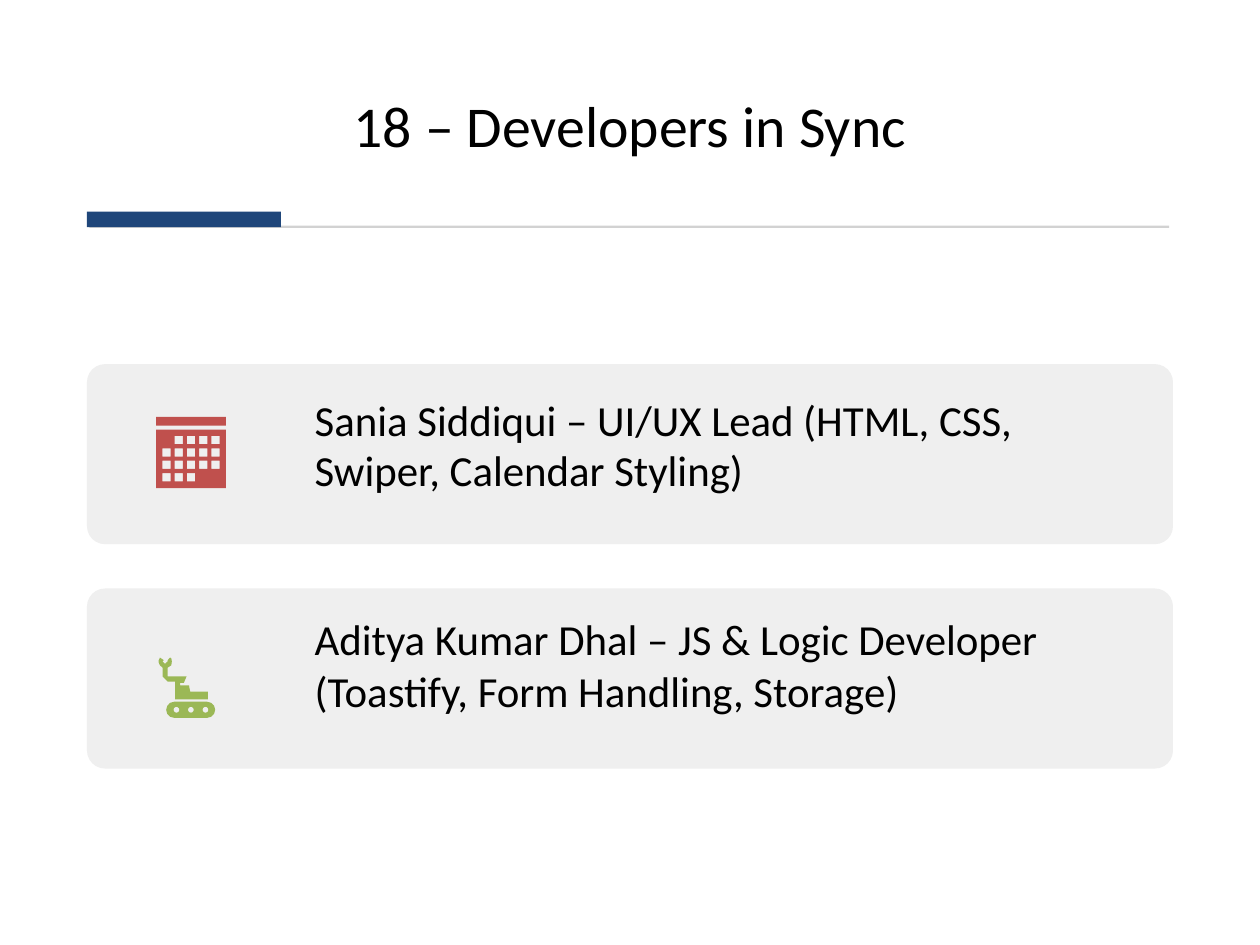
from dataclasses import dataclass

from pptx import Presentation
from pptx.dml.color import RGBColor
from pptx.enum.shapes import MSO_SHAPE
from pptx.enum.text import MSO_ANCHOR, MSO_AUTO_SIZE, PP_ALIGN
from pptx.oxml.ns import qn
from pptx.util import Pt

NAVY, RULE, CARD = "1F467A", "D2D2D2", "EFEFEF"
RED, GREEN, BLACK = "C0504D", "9BB856", "000000"
LEFT, CARD_TOP, CARD_W, CARD_H, CARD_PITCH = 49.7, 208.1, 620.6, 102.9, 128.2

ROBOT_ARM = [
    (91.4, 375.8), (90.7, 377.3), (90.7, 378.7), (91.4, 380.2), (92.9, 381.6),
    (92.9, 386.6), (95.8, 389.5), (100.1, 389.5), (100.1, 399.6), (118.8, 399.6),
    (118.8, 395.3), (108.7, 395.3), (108, 391.7), (103, 391.7), (103, 390.2),
    (105.1, 390.2), (106.6, 386.6), (95.8, 386.6), (95.8, 381.6), (97.9, 380.2),
    (98.2, 378), (97.9, 376.2), (97.2, 375.8), (95.8, 377.3), (95.8, 378),
    (94.3, 379.4), (92.9, 378), (93.6, 377.3),
]


@dataclass
class Developer:
    text: str
    leading: float
    space_before: float


DEVELOPERS = [
    Developer("Sania Siddiqui – UI/UX Lead (HTML, CSS, Swiper, Calendar Styling)", 28.6, 0),
    Developer("Aditya Kumar Dhal – JS & Logic Developer (Toastify, Form Handling, Storage)",
              29.4, 67.2),
]


def rgb(color: str) -> RGBColor:
    return RGBColor.from_string(color)


def paint(sp, color: str):
    sp.shadow.inherit = False
    sp.fill.solid()
    sp.fill.fore_color.rgb = rgb(color)
    sp.line.fill.background()
    return sp


def add_block(s, x: float, y: float, w: float, h: float, color: str,
              kind=MSO_SHAPE.RECTANGLE, radius: float = 0):
    sp = s.shapes.add_shape(kind, Pt(x), Pt(y), Pt(w), Pt(h))
    if radius:
        sp.adjustments[0] = radius
    return paint(sp, color)


def add_outline(s, contours: list, color: str):
    """Draw closed contours as one shape; inner contours become holes."""
    (x, y), *rest = contours[0]
    fb = s.shapes.build_freeform(Pt(x), Pt(y))
    fb.add_line_segments([(Pt(a), Pt(b)) for a, b in rest])
    for (x, y), *rest in contours[1:]:
        fb.move_to(Pt(x), Pt(y))
        fb.add_line_segments([(Pt(a), Pt(b)) for a, b in rest])
    return paint(fb.convert_to_shape(), color)


def box(x: float, y: float, w: float, h: float) -> list:
    return [(x, y), (x + w, y), (x + w, y + h), (x, y + h)]


def place(sp, x: float, y: float, w: float, h: float, inset_top: float):
    sp.left, sp.top, sp.width, sp.height = Pt(x), Pt(y), Pt(w), Pt(h)
    tf = sp.text_frame
    tf.word_wrap = True
    tf.auto_size = MSO_AUTO_SIZE.NONE
    tf.vertical_anchor = MSO_ANCHOR.TOP
    tf.margin_left = tf.margin_right = tf.margin_bottom = 0
    tf.margin_top = Pt(inset_top)
    return tf


def write(p, text: str, *, size: float, align=PP_ALIGN.LEFT, leading: float = 0,
          space_before: float = 0):
    pPr = p._p.get_or_add_pPr()
    pPr.set("marL", "0")
    pPr.set("indent", "0")
    pPr.append(pPr.makeelement(qn("a:buNone"), {}))
    p.alignment = align
    p.space_before = Pt(space_before)
    if leading:
        p.line_spacing = Pt(leading)
    r = p.add_run()
    r.text = text
    r.font.name, r.font.size = "Calibri", Pt(size)
    r.font.color.rgb = rgb(BLACK)


def draw_calendar(s):
    x, y, w = 89.3, 238.3, 39.8
    add_block(s, x, y, w, 5, RED)
    day_columns = [range(1, 5), range(5), range(5), range(3)]
    days = [box(x + 3.6 + 7 * col, y + 10.8 + 7.1 * row, 4.7, 4.7)
            for row, cols in enumerate(day_columns) for col in cols]
    add_outline(s, [box(x, y + 7.2, w, 33.4)] + days, RED)


def draw_robot(s):
    add_block(s, 95, 401, 28, 9.2, GREEN, MSO_SHAPE.ROUNDED_RECTANGLE, 0.5)
    for i in range(3):
        add_block(s, 99.2 + 8.3 * i, 404, 3.2, 3.2, CARD, MSO_SHAPE.OVAL)
    add_outline(s, [ROBOT_ARM], GREEN)


def main():
    prs = Presentation()
    prs.slide_width, prs.slide_height = Pt(720), Pt(540)
    s = prs.slides.add_slide(prs.slide_layouts[1])

    tf = place(s.shapes.title, 34, 38.2, 652, 70, 13.3)
    write(tf.paragraphs[0], "18 – Developers in Sync", size=33, align=PP_ALIGN.CENTER)

    add_block(s, 51.1, 128.9, 617, 1.4, RULE)
    add_block(s, LEFT, 121, 110.9, 8.8, NAVY)

    for i, draw_icon in enumerate([draw_calendar, draw_robot]):
        add_block(s, LEFT, CARD_TOP + CARD_PITCH * i, CARD_W, CARD_H, CARD,
                  MSO_SHAPE.ROUNDED_RECTANGLE, 0.1)
        draw_icon(s)

    body = s.placeholders[1]
    tf = place(body, 179.8, 223.2, 424, 186.5, 2.6)
    for i, dev in enumerate(DEVELOPERS):
        p = tf.add_paragraph() if i else tf.paragraphs[0]
        write(p, dev.text, size=24.5, leading=dev.leading, space_before=dev.space_before)
    s.shapes._spTree.append(body._element)  # bring the text in front of the cards

    prs.save("out.pptx")


if __name__ == "__main__":
    main()
